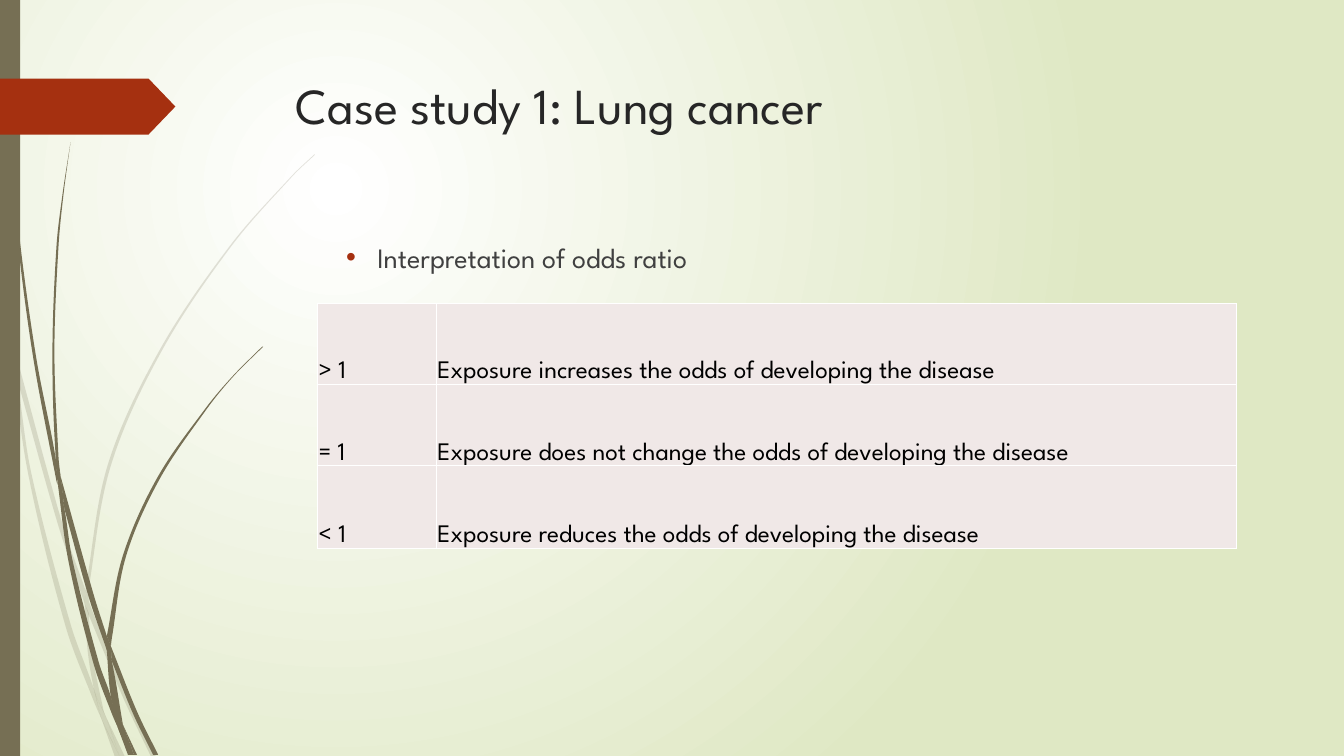
"""Build the lung cancer case study slide with its odds ratio table."""
import dataclasses
import math

import lxml.etree
import pptx
import pptx.dml.color
import pptx.enum.shapes
import pptx.enum.text
import pptx.oxml.ns
import pptx.util


@dataclasses.dataclass(frozen=True)
class Theme:
    """Colours, type sizes and font of the slide."""
    font: str = "League Spartan"
    title: str = "262626"
    body: str = "404040"
    table_text: str = "000000"
    table_fill: str = "F0E8E7"
    border: str = "FFFFFF"
    accent: str = "A53010"
    grass: str = "766F54"
    glow: str = "FFFFFF"
    field: str = "DFE8C4"
    title_size: int = 36
    body_size: int = 20
    table_size: int = 18
    pale_opacity: int = 20


THEME = Theme()
COLUMNS, ROWS = 133.33, 75
CELL = pptx.util.Inches(0.1)

ODDS_RATIOS = [
    ("> 1", "Exposure increases the odds of developing the disease"),
    ("= 1", "Exposure does not change the odds of developing the disease"),
    ("< 1", "Exposure reduces the odds of developing the disease"),
]

PALE_BLADES = [
    ([(0, 29.9), (1, 34.4), (1.1, 35)], [(0, 28.2), (0.9, 32.2), (1.1, 35)]),
    ([(1.7, 37.6), (5.8, 52.2), (8.4, 59.9)], [(1.4, 34.5), (6.2, 52), (8.5, 58.6)]),
    ([(8.8, 61), (12.3, 69.4), (15, 75.1)], [(8.8, 59.6), (9.2, 60.7), (12.7, 69.2), (15.5, 75.1)]),
    ([(10.5, 71.1), (11.9, 75.1)], [(10.5, 71.1), (12.4, 75.1)]),
    ([(1.1, 35), (2.8, 47), (6.5, 62.1), (9.2, 69.3), (10.1, 71.4)],
     [(1.1, 35), (1.7, 37.6), (3.1, 46.9), (7, 61.9), (9.3, 68.3), (9.9, 70.7), (10.1, 71.4)]),
    ([(8.4, 59.9), (8.7, 64.6), (9.3, 68.3), (9.6, 69.2), (10.5, 71.1)],
     [(8.8, 60.8), (9.1, 64.6), (10.3, 70.6), (10.5, 71.1)]),
    ([(31.2, 15.3), (28.9, 17.5), (22.8, 24.4), (15.8, 34.8), (10.7, 46.1), (8.5, 58.4), (8.5, 58.6)],
     [(31.2, 15.4), (29, 17.5), (22.9, 24.5), (16, 34.9), (11, 46.2), (8.8, 58.4), (8.8, 59.6)]),
    ([(10.1, 71.4), (11.4, 75.1)], [(10.1, 71.4), (11.9, 75.1)]),
    ([(8.5, 58.6), (8.4, 59.9)], [(8.8, 59.6), (8.8, 61)]),
    ([(9.3, 68.3), (9.9, 70.7), (10.1, 71.4), (11.9, 75.1)],
     [(9.3, 68.3), (9.6, 69.2), (10.5, 71.1), (11.9, 75.1)]),
]

DARK_BLADES = [
    ([(0.3, 0), (0.4, 4.8), (0.7, 11), (1.7, 23.3), (3.3, 35.5), (5.6, 47.7), (5.7, 48.1)],
     [(0.4, 0), (0.5, 4.8), (0.8, 10.9), (1.9, 23.2), (3.6, 35.5), (5.5, 45.3), (5.7, 48.1)]),
    ([(6.4, 50.5), (8.8, 59.2), (10.6, 64.5)], [(6, 47.2), (9.3, 59), (10.6, 63.1)]),
    ([(11.1, 65.6), (13.2, 70.8), (15.2, 74.9)], [(11, 64.1), (13.6, 70.6), (15.7, 74.9)]),
    ([(5.7, 47.7), (6.8, 55.7), (9.3, 65.9), (11.1, 70.8), (11.7, 72.2)],
     [(5.7, 47.7), (6.4, 50.5), (7.2, 55.6), (9.8, 65.7), (11, 69.1), (11.7, 72.2)]),
    ([(7, 14.1), (6.2, 19.3), (5.6, 24.5), (5.2, 34.9), (5.5, 44.9), (6, 47.2)],
     [(7, 14.1), (6.3, 19.3), (5.8, 24.5), (5.4, 34.9), (5.8, 45.3), (6, 47.2)]),
    ([(12.2, 71.9), (13.3, 74.9)], [(12.2, 71.9), (13.6, 74.9)]),
    ([(5.5, 44.9), (5.7, 47.7), (6.4, 50.5)], [(5.5, 44.9), (6, 47.2), (6.4, 50.5)]),
    ([(26, 34.4), (23.1, 37.3), (20.4, 40.5), (15.6, 47.4), (12.2, 55.1), (10.6, 63.1)],
     [(26.1, 34.4), (23.1, 37.4), (20.5, 40.6), (15.8, 47.6), (12.5, 55.2), (11.1, 63.3), (11, 64.1)]),
    ([(11.7, 72.2), (12.7, 74.9)], [(11.7, 72.2), (13.1, 74.9)]),
    ([(10.6, 64.5), (11, 69.1), (11.6, 70.6), (12.2, 71.9)], [(10.6, 64.5), (11.1, 65.6), (12.2, 71.9)]),
    ([(10.6, 63.1), (10.6, 64.5), (11.1, 65.6)], [(10.6, 63.1), (11, 64.1), (11.1, 65.6)]),
    ([(11, 69.1), (11.7, 72.2), (13, 74.9)], [(11, 69.1), (12.2, 71.9), (13.3, 74.9)]),
]


def cells(*counts):
    """Convert grid counts to slide lengths."""
    return [pptx.util.Emu(round(count * CELL)) for count in counts]


def rgb(colour):
    """Return a colour object for a hexadecimal string."""
    return pptx.dml.color.RGBColor.from_string(colour)


def add_node(parent, tag, **attributes):
    """Append a drawing element with attributes and return it."""
    return lxml.etree.SubElement(parent, pptx.oxml.ns.qn(tag), attributes)


def add_run(paragraph, text, size, colour):
    """Add one formatted run to a paragraph."""
    run = paragraph.add_run()
    run.text = text
    run.font.name = THEME.font
    run.font.size = pptx.util.Pt(size)
    run.font.color.rgb = rgb(colour)


def paint(shape, colour):
    """Give a shape a plain fill without line or shadow."""
    shape.shadow.inherit = False
    shape.fill.solid()
    shape.fill.fore_color.rgb = rgb(colour)
    shape.line.fill.background()


def paint_background(slide):
    """Fill the background with a round glow."""
    fill = slide.background.fill
    fill.gradient()
    for stop, colour in zip(fill.gradient_stops, (THEME.glow, THEME.field)):
        stop.color.rgb = rgb(colour)
    gradient = slide.background._cSld.find(".//" + pptx.oxml.ns.qn("a:gradFill"))
    gradient.remove(gradient.find(pptx.oxml.ns.qn("a:lin")))
    circle = add_node(gradient, "a:path", path="circle")
    add_node(circle, "a:fillToRect", l="50000", t="50000", r="100000", b="100000")


def handle(before, point, after):
    """Return the curve handle that leaves a point towards the next one."""
    reach = math.dist(point, after)
    share = reach / (3 * (math.dist(before, point) + reach))
    return tuple(p + (a - b) * share for b, p, a in zip(before, point, after))


def curve(points):
    """List handles and end points of a smooth curve after its first point."""
    padded = [points[0], *points, points[-1]]
    return [place for a, b, c, d in zip(padded, padded[1:], padded[2:], padded[3:])
            for place in (handle(a, b, c), handle(d, c, b), c)]


def add_blade(slide, left_edge, right_edge, opacity=100):
    """Draw a grass blade between two curved edges."""
    back_edge = right_edge[::-1]
    link = [left_edge[-1], back_edge[0], back_edge[0]]
    outline = curve(left_edge) + link + curve(back_edge)
    builder = slide.shapes.build_freeform(*cells(*left_edge[0]))
    builder.add_line_segments([cells(*place) for place in outline], close=True)
    blade = builder.convert_to_shape()
    paint(blade, THEME.grass)
    properties = blade._element.spPr
    lines = properties.findall(".//" + pptx.oxml.ns.qn("a:lnTo"))
    for trio in zip(*[iter(lines)] * 3):
        bend = add_node(trio[0].getparent(), "a:cubicBezTo")
        trio[0].addprevious(bend)
        for line in trio:
            bend.append(line[0])
            line.getparent().remove(line)
    if opacity < 100:
        colour = properties.find(".//" + pptx.oxml.ns.qn("a:srgbClr"))
        add_node(colour, "a:alpha", val=str(opacity * 1000))


def add_panel(slide, kind, box, colour):
    """Add a plain preset shape on the grid."""
    panel = slide.shapes.add_shape(kind, *cells(*box))
    paint(panel, colour)
    return panel


def set_title(slide, text, box):
    """Place and format the title placeholder."""
    title = slide.shapes.title
    title.left, title.top, title.width, title.height = cells(*box)
    title.text_frame.vertical_anchor = pptx.enum.text.MSO_ANCHOR.TOP
    paragraph = title.text_frame.paragraphs[0]
    paragraph.alignment = pptx.enum.text.PP_ALIGN.LEFT
    add_run(paragraph, text, THEME.title_size, THEME.title)


def add_bullet(slide, text, box):
    """Add a text box with one bulleted paragraph."""
    frame = slide.shapes.add_textbox(*cells(*box)).text_frame
    frame.word_wrap = True
    paragraph = frame.paragraphs[0]
    paragraph.space_before = pptx.util.Pt(10)
    properties = paragraph._p.get_or_add_pPr()
    for name, length in zip(("marL", "indent"), cells(8.1, -3.1)):
        properties.set(name, str(length))
    add_node(add_node(properties, "a:buClr"), "a:srgbClr", val=THEME.accent)
    add_node(properties, "a:buFont", typeface="Arial")
    add_node(properties, "a:buChar", char="•")
    add_run(paragraph, text, THEME.body_size, THEME.body)


def format_cell(cell, text):
    """Fill, border and label one table cell."""
    cell.vertical_anchor = pptx.enum.text.MSO_ANCHOR.BOTTOM
    cell.margin_left, cell.margin_right, cell.margin_top, cell.margin_bottom = cells(0.1, 0.1, 0.1, 0)
    add_run(cell.text_frame.paragraphs[0], text, THEME.table_size, THEME.table_text)
    properties = cell._tc.get_or_add_tcPr()
    for side in "LRTB":
        line = add_node(properties, f"a:ln{side}", w=str(pptx.util.Pt(1)))
        add_node(add_node(line, "a:solidFill"), "a:srgbClr", val=THEME.border)
    add_node(add_node(properties, "a:solidFill"), "a:srgbClr", val=THEME.table_fill)


def add_odds_table(slide, origin, widths, heights):
    """Add the table of odds ratio meanings."""
    box = cells(*origin, sum(widths), sum(heights))
    table = slide.shapes.add_table(len(heights), len(widths), *box).table
    table.first_row = table.horz_banding = False
    for column, width in zip(table.columns, cells(*widths)):
        column.width = width
    for row, height, texts in zip(table.rows, cells(*heights), ODDS_RATIOS):
        row.height = height
        for cell, text in zip(row.cells, texts):
            format_cell(cell, text)


def main():
    """Compose and save the slide."""
    presentation = pptx.Presentation()
    presentation.slide_width, presentation.slide_height = cells(COLUMNS, ROWS)
    slide = presentation.slides.add_slide(presentation.slide_layouts[5])
    paint_background(slide)
    for blades, opacity in ((PALE_BLADES, THEME.pale_opacity), (DARK_BLADES, 100)):
        for edges in blades:
            add_blade(slide, *edges, opacity)
    presets = pptx.enum.shapes.MSO_SHAPE
    add_panel(slide, presets.RECTANGLE, (0, 0, 2, ROWS), THEME.grass)
    ribbon = add_panel(slide, presets.PENTAGON, (0, 7.8, 17.4, 5.55), THEME.accent)
    ribbon.adjustments[0] = 0.48
    set_title(slide, "Case study 1: Lung cancer", (28.35, 6.85, 97.5, 14))
    add_bullet(slide, "Interpretation of odds ratio", (28.35, 23.35, 97.5, 41.3))
    add_odds_table(slide, (31.5, 30.1), (11.8, 79.35), (8.05, 8.05, 8.2))
    presentation.save("out.pptx")


if __name__ == "__main__":
    main()
